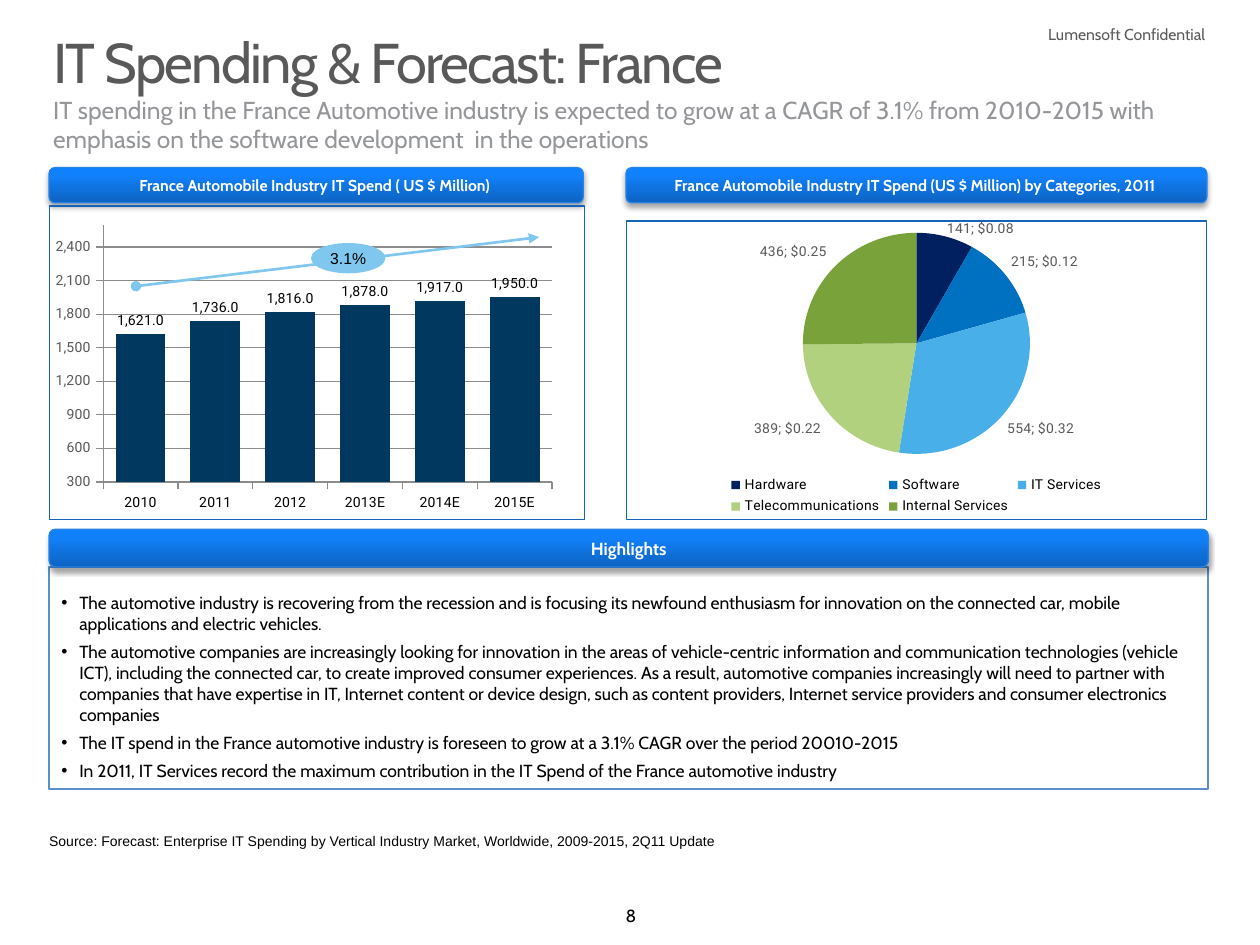
from lxml.etree import SubElement
from pptx import Presentation
from pptx.chart.data import CategoryChartData as Data
from pptx.dml.color import RGBColor as RGB
from pptx.enum.chart import XL_CHART_TYPE as Kind, XL_LABEL_POSITION as Spot
from pptx.enum.chart import XL_LEGEND_POSITION as Side, XL_TICK_MARK as Tick
from pptx.enum.shapes import MSO_CONNECTOR as Link, MSO_SHAPE as Form
from pptx.enum.text import MSO_ANCHOR as Anchor, PP_ALIGN as Align
from pptx.oxml import parse_xml
from pptx.oxml.ns import nsdecls, qn
from pptx.util import Cm, Pt

HUES = {
    "ink": "000000", "white": "FFFFFF", "grey": "595959", "soft": "949699",
    "grid": "8C8C8C", "edge": "2783E6", "frame": "1564BA", "panel": "5990CA",
    "sky": "80C7F0", "bar": "003860",
    "low": "0D63C1", "mid": "1181FB", "high": "0E81FF",
}
SLICES = ["002060", "0070C0", "49AFE9", "B1D17F", "7AA23A"]
LEFT, WIDE = 0.99, 23.37
NOTES = [
    "The automotive industry is recovering from the recession and is focusing its newfound enthusiasm "
    "for innovation on the connected car, mobile applications and electric vehicles.",
    "The automotive companies are increasingly looking for innovation in the areas of vehicle-centric "
    "information and communication technologies (vehicle ICT), including the connected car, to create "
    "improved consumer experiences. As a result, automotive companies increasingly will need to partner "
    "with companies that have expertise in IT, Internet content or device design, such as content "
    "providers, Internet service providers and consumer electronics companies",
    "The IT spend in the France automotive industry is foreseen to grow at a 3.1% CAGR over the period "
    "20010-2015",
    "In 2011, IT Services record the maximum contribution in the IT Spend of the France automotive industry",
]


def rgb(hue):
    return RGB.from_string(HUES.get(hue, hue))


def cms(*nums):
    return [Cm(num) for num in nums]


def put(item, **vals):
    for key, val in vals.items():
        setattr(item, key, val)


def style(font, size, hue, **vals):
    put(font, size=Pt(size), **vals)
    font.color.rgb = rgb(hue)


def stroke(line, hue, width):
    line.color.rgb = rgb(hue)
    line.width = Pt(width)


def write(para, text, size, hue, name="Cabin", **vals):
    run = para.add_run()
    run.text = text
    style(run.font, size, hue, name=name, **vals)
    return run


def add_text(slide, box, text, size, hue, name="Cabin", align=Align.LEFT,
             pad=0, anchor=Anchor.TOP):
    frame = slide.shapes.add_textbox(*cms(*box)).text_frame
    put(frame, word_wrap=True, vertical_anchor=anchor, margin_left=Cm(pad),
        margin_right=Cm(pad), margin_top=Cm(pad / 2), margin_bottom=Cm(pad / 2))
    para = frame.paragraphs[0]
    para.alignment = align
    return para, write(para, text, size, hue, name)


def add_form(slide, form, box):
    shape = slide.shapes.add_shape(form, *cms(*box))
    shape.shadow.inherit = False
    shape.fill.background()
    shape.line.fill.background()
    return shape


def add_head(slide, box, text, size):
    """Glossy rounded heading bar with a soft shadow."""
    shape = add_form(slide, Form.ROUNDED_RECTANGLE, box)
    shape.adjustments[0] = 0.17
    stroke(shape.line, "edge", 0.75)
    stops = "".join(f'<a:gs pos="{pos}000"><a:srgbClr val="{HUES[hue]}"/></a:gs>'
                    for pos, hue in ((0, "low"), (80, "mid"), (100, "high")))
    props = shape.element.spPr
    props.replace(props.find(qn("a:noFill")), parse_xml(
        f'<a:gradFill {nsdecls("a")} rotWithShape="1"><a:gsLst>{stops}</a:gsLst>'
        '<a:lin ang="16200000" scaled="0"/></a:gradFill>'))
    props.find(qn("a:effectLst")).append(parse_xml(
        f'<a:outerShdw {nsdecls("a")} blurRad="39400" dist="22900" dir="5400000" '
        'rotWithShape="0"><a:srgbClr val="000000"><a:alpha val="35000"/></a:srgbClr></a:outerShdw>'))
    frame = shape.text_frame
    put(frame, vertical_anchor=Anchor.MIDDLE, word_wrap=True)
    frame.paragraphs[0].alignment = Align.CENTER
    write(frame.paragraphs[0], text, size, "white", bold=True)


def add_notes(slide, box):
    shape = add_form(slide, Form.RECTANGLE, box)
    stroke(shape.line, "panel", 1)
    frame = shape.text_frame
    put(frame, vertical_anchor=Anchor.TOP, word_wrap=True, margin_top=Cm(0.51))
    for num, note in enumerate(NOTES):
        para = frame.add_paragraph() if num else frame.paragraphs[0]
        put(para, alignment=Align.LEFT, space_before=Pt(3 if num else 0), space_after=Pt(1))
        props = para._p.get_or_add_pPr()
        put_off = Cm(0.36)
        props.set("marL", str(put_off))
        props.set("indent", str(-put_off))
        SubElement(props, qn("a:buFont")).set("typeface", "Arial")
        SubElement(props, qn("a:buChar")).set("char", "•")
        write(para, note, 10, "ink")


def add_trend(slide):
    line = slide.shapes.add_connector(Link.STRAIGHT, *cms(2.74, 5.77, 10.87, 4.78))
    stroke(line.line, "sky", 1.5)
    ends = line.line._get_or_add_ln()
    SubElement(ends, qn("a:headEnd")).set("type", "oval")
    SubElement(ends, qn("a:tailEnd")).set("type", "triangle")
    SubElement(line.element.spPr, qn("a:effectLst"))
    badge = add_form(slide, Form.OVAL, (6.27, 4.9, 1.5, 0.61))
    badge.fill.solid()
    badge.fill.fore_color.rgb = rgb("sky")
    frame = badge.text_frame
    put(frame, word_wrap=False, vertical_anchor=Anchor.MIDDLE)
    frame.paragraphs[0].alignment = Align.CENTER
    write(frame.paragraphs[0], "3.1%", 9, "ink", "Arial")


def add_graph(slide, kind, box, cats, vals, area):
    """Framed chart whose inner plot area is given as shares of the chart."""
    data = Data()
    data.categories = cats
    data.add_series("Series 1", vals)
    chart = slide.shapes.add_chart(kind, *cms(*box), data).chart
    put(chart, has_title=False, has_legend=False)
    style(chart.font, 18, "grey", name="Roboto")
    root = chart._chartSpace
    root.find(qn("c:chart")).addnext(parse_xml(
        f'<c:spPr {nsdecls("c", "a")}><a:noFill/><a:ln w="9525"><a:solidFill>'
        f'<a:srgbClr val="{HUES["frame"]}"/></a:solidFill></a:ln></c:spPr>'))
    plot = root.find(".//" + qn("c:plotArea"))
    for old in plot.findall(qn("c:layout")):
        plot.remove(old)
    marks = [("layoutTarget", "inner"), ("xMode", "edge"), ("yMode", "edge"), *zip("xywh", area)]
    rows = "".join(f'<c:{key} val="{val}"/>' for key, val in marks)
    plot.insert(0, parse_xml(
        f'<c:layout {nsdecls("c")}><c:manualLayout>{rows}</c:manualLayout></c:layout>'))
    return chart


def add_labels(plot, form, hue, **vals):
    plot.has_data_labels = True
    put(plot.data_labels, number_format=form, number_format_is_linked=False,
        show_value=True, position=Spot.OUTSIDE_END, **vals)
    style(plot.data_labels.font, 8, hue, name="Roboto")


def add_columns(slide):
    cats = ["2010", "2011", "2012", "2013E", "2014E", "2015E"]
    chart = add_graph(slide, Kind.COLUMN_CLUSTERED, (LEFT, 4.14, 10.8, 6.35), cats,
                      (1621, 1736, 1816, 1878, 1917, 1950), (0.1, 0.06, 0.84, 0.82))
    plot = chart.plots[0]
    put(plot, gap_width=50, vary_by_categories=False)
    fill = plot.series[0].format.fill
    fill.solid()
    fill.fore_color.rgb = rgb("bar")
    add_labels(plot, "#,##0.0", "ink")
    axis = chart.value_axis
    put(axis, minimum_scale=300, maximum_scale=2600, major_unit=300, has_major_gridlines=True)
    put(axis.tick_labels, number_format="#,##0", number_format_is_linked=False)
    stroke(axis.major_gridlines.format.line, "grid", 0.75)
    for side, hue in ((axis, "grey"), (chart.category_axis, "ink")):
        side.major_tick_mark = Tick.OUTSIDE
        stroke(side.format.line, "grid", 0.75)
        style(side.tick_labels.font, 8, hue, name="Roboto")


def add_pie(slide):
    cats = ["Hardware", "Software", "IT Services", "Telecommunications", "Internal Services"]
    chart = add_graph(slide, Kind.PIE, (12.62, 4.29, 11.71, 6.2), cats,
                      (141, 215, 554, 389, 436), (0.28, 0.04, 0.44, 0.74))
    plot = chart.plots[0]
    plot.vary_by_categories = True
    for num, hue in enumerate(SLICES):
        fill = plot.series[0].points[num].format.fill
        fill.solid()
        fill.fore_color.rgb = rgb(hue)
    add_labels(plot, '"$"#,##0.00" "', "grey", show_percentage=True)
    chart.has_legend = True
    put(chart.legend, position=Side.BOTTOM, include_in_layout=False)
    style(chart.legend.font, 8, "ink", name="Roboto")


def main():
    deck = Presentation()
    put(deck, slide_width=Cm(25.4), slide_height=Cm(19.05))
    slide = deck.slides.add_slide(deck.slide_layouts[6])
    add_text(slide, (12.07, 18.11, 1.3, 0.69), "8", 10, "ink", align=Align.CENTER, pad=0.25)
    add_text(slide, (20.37, 0.38, 4.17, 0.64), "Lumensoft Confidential", 9, "grey",
             align=Align.RIGHT, pad=0.25)
    add_text(slide, (1.07, 1.9, 23.7, 1.2),
             "IT spending in the France Automotive industry is expected to grow at a CAGR of 3.1% "
             "from 2010-2015 with emphasis on the software development  in the operations",
             14, "soft", anchor=Anchor.BOTTOM)
    para, run = add_text(slide, (1.07, 0.71, 23.24, 1.42), "IT Spending & Forecast: France", 32, "grey")
    para.line_spacing = 0.9
    run.font._element.set("spc", "-100")
    add_head(slide, (LEFT, 3.38, 10.77, 0.71), "France Automobile Industry IT Spend ( US $ Million) ", 9)
    add_columns(slide)
    add_trend(slide)
    add_notes(slide, (LEFT, 11.43, WIDE, 4.47))
    add_head(slide, (LEFT, 10.67, WIDE, 0.76), "Highlights", 10)
    add_text(slide, (LEFT, 16.79, 19.79, 0.36),
             "Source: Forecast: Enterprise IT Spending by Vertical Industry Market, Worldwide, "
             "2009-2015, 2Q11 Update", 8, "ink", "Arial")
    add_head(slide, (12.62, 3.38, 11.71, 0.71),
             "France Automobile Industry IT Spend (US $ Million) by Categories, 2011 ", 9)
    add_pie(slide)
    deck.save("out.pptx")


if __name__ == "__main__":
    main()
